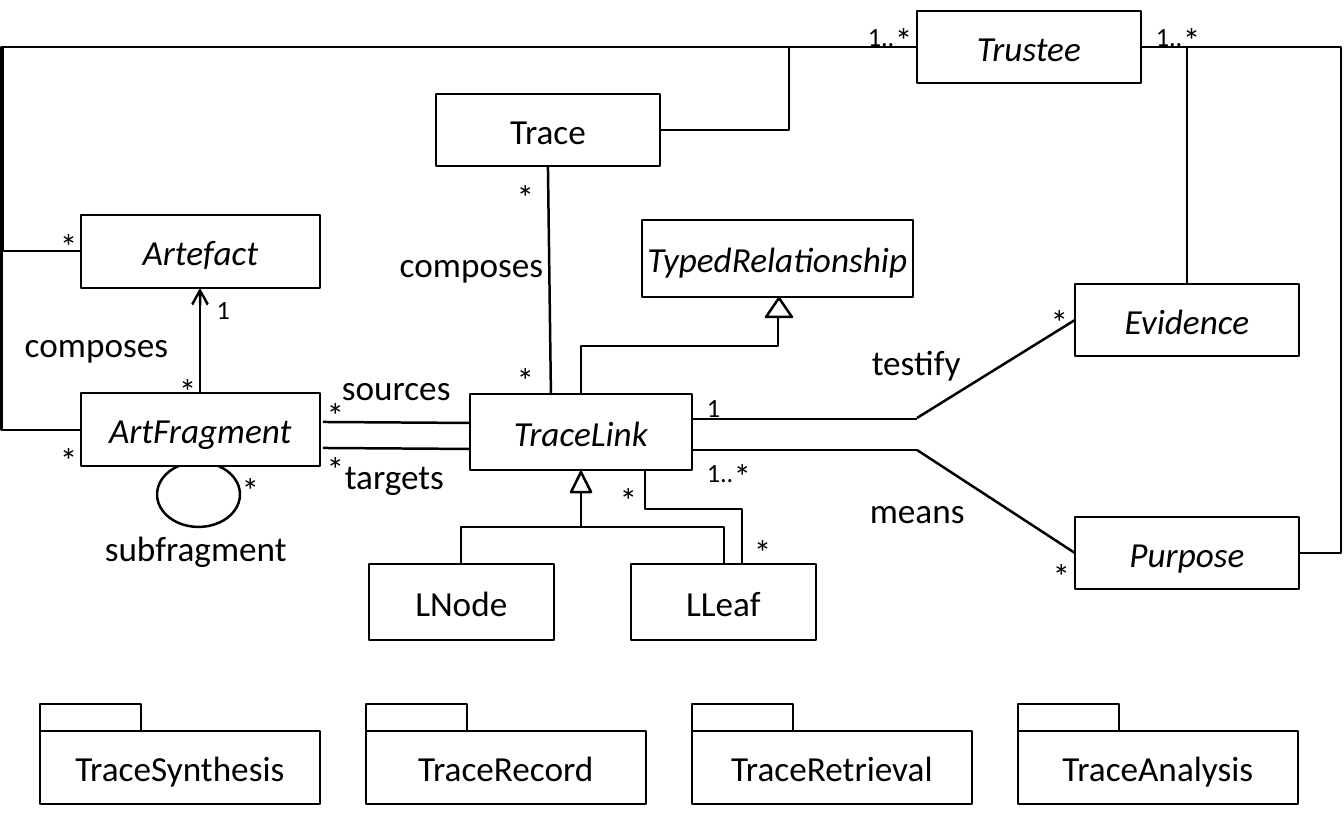
from lxml.etree import SubElement
from pptx import Presentation
from pptx.dml.color import RGBColor
from pptx.enum.shapes import MSO_CONNECTOR, MSO_SHAPE
from pptx.enum.text import MSO_ANCHOR, MSO_AUTO_SIZE, PP_ALIGN
from pptx.oxml.ns import qn
from pptx.util import Pt

SCALE = 5055  # EMU per px
SLIDE_SIZE = (1344, 823)
FONT = "Calibri"
COLORS = {"ink": "000000", "paper": "FFFFFF"}

# Classes: name, left, top, width, height, italic, border in points
CLASSES = [
    ("Artefact", 81, 215, 239, 73, True, 0.75),
    ("ArtFragment", 81, 393, 239, 73, True, 0.75),
    ("Trace", 436, 94, 224, 72, False, 0.75),
    ("Trustee", 917, 11, 224, 72, True, 0.75),
    ("Evidence", 1075, 284, 224, 72, True, 0.75),
    ("Purpose", 1075, 517, 224, 72, True, 0.75),
    ("TypedRelationship", 642, 220, 271, 77, True, 0.75),
    ("TraceLink", 470, 394, 222, 76, True, 1),
    ("LNode", 369, 564, 185, 76, False, 1),
    ("LLeaf", 631, 564, 185, 76, False, 1),
]
SELF_LOOP = (157, 462, 83, 65)
INHERITANCE_HEADS = [(766, 298, 26, 19), (571, 472, 20, 20)]

# Packages stand in one row at an equal pitch
PACKAGES = ["TraceSynthesis", "TraceRecord", "TraceRetrieval", "TraceAnalysis"]
PACKAGE_LEFT, PACKAGE_PITCH = 40, 326
TAB_TOP, TAB_WIDTH, TAB_HEIGHT = 704, 101, 27
BODY_WIDTH, BODY_HEIGHT = 280, 73

# Straight associations: begin, end
COMPOSITION_ARROW = ((200, 393), (200, 288))
ASSOCIATIONS = [
    ((323, 422), (470, 423)),
    ((323, 448), (470, 449)),
    ((548, 166), (551, 394)),
    ((692, 419), (917, 419)),
    ((917, 418), (1075, 320)),
    ((692, 450), (917, 450)),
    ((917, 450), (1075, 553)),
]

# Elbows that leave sideways: begin, end, x of the bend, width in points
TRUSTEE_LEFT, TRUSTEE_RIGHT = (917, 47), (1141, 47)
SIDE_ELBOWS = [
    (TRUSTEE_LEFT, (661, 130), 789, 1),
    (TRUSTEE_LEFT, (81, 251), 3, 0.5),
    (TRUSTEE_LEFT, (81, 430), 2, 1),
    (TRUSTEE_RIGHT, (1187, 284), 1187, 1),
    (TRUSTEE_RIGHT, (1299, 553), 1341, 1),
]

# Elbows that run downwards: begin, end, y of the bend
DOWN_ELBOWS = [
    ((778, 297), (581, 394), 346),
    ((581, 470), (461, 564), 527),
    ((581, 470), (724, 564), 527),
    ((645, 470), (742, 564), 509),
]

# Association names: text, left, top, width
NAMES = [
    ("composes", 7, 313, 188),
    ("composes", 382, 233, 188),
    ("testify", 854, 331, 132),
    ("means", 852, 479, 137),
    ("subfragment", 87, 517, 228),
    ("sources", 324, 356, 147),
    ("targets", 327, 445, 137),
]
# Multiplicities: text -> (width, height, size, left and top of each)
MULTIPLICITIES = {
    "*": (56, 62, 14, [
        (42, 215), (42, 429), (161, 360), (224, 459), (309, 384),
        (309, 438), (499, 166), (499, 349), (602, 469), (736, 521),
        (716, 445), (877, 9), (1165, 9), (1033, 291), (1035, 545)]),
    "1": (51, 51, 10.5, [(199, 284), (689, 382)]),
    "1..": (63, 51, 10.5, [(689, 447), (850, 11), (1138, 11)]),
}

presentation = Presentation()
presentation.slide_width, presentation.slide_height = (
    side * SCALE for side in SLIDE_SIZE)
slide = presentation.slides.add_slide(presentation.slide_layouts[6])


def emu(*lengths):
    return [round(length * SCALE) for length in lengths]


def color(name):
    return RGBColor.from_string(COLORS[name])


def write(shape, text, size=14, italic=False, align=PP_ALIGN.LEFT):
    paragraph = shape.text_frame.paragraphs[0]
    paragraph.alignment = align
    run = paragraph.add_run()
    run.text = text
    run.font.name, run.font.size, run.font.italic = FONT, Pt(size), italic
    run.font.color.rgb = color("ink")


def add_outline(kind, box, border=1):
    shape = slide.shapes.add_shape(kind, *emu(*box))
    shape.shadow.inherit = False
    shape.fill.solid()
    shape.fill.fore_color.rgb = color("paper")
    shape.line.color.rgb = color("ink")
    shape.line.width = Pt(border)
    return shape


def add_box(text, box, italic=False, border=1):
    shape = add_outline(MSO_SHAPE.RECTANGLE, box, border)
    frame = shape.text_frame
    frame.margin_left = frame.margin_right = 0
    frame.margin_top = frame.margin_bottom = 0
    frame.word_wrap = True
    frame.vertical_anchor = MSO_ANCHOR.MIDDLE
    write(shape, text, italic=italic, align=PP_ALIGN.CENTER)


def add_label(text, box, size=14):
    label = slide.shapes.add_textbox(*emu(*box))
    label.text_frame.word_wrap = False
    label.text_frame.auto_size = MSO_AUTO_SIZE.SHAPE_TO_FIT_TEXT
    write(label, text, size=size)


def add_line(begin, end, width=1, kind=MSO_CONNECTOR.STRAIGHT):
    line = slide.shapes.add_connector(kind, *emu(*begin, *end))
    line.line.color.rgb = color("ink")
    line.line.width = Pt(width)
    SubElement(line._element.spPr, qn("a:effectLst"))
    return line


def set_bend(line, fraction):
    geometry = line._element.spPr.find(qn("a:prstGeom"))
    if fraction == 1:
        geometry.set("prst", "bentConnector2")
        return
    values = geometry.find(qn("a:avLst"))
    SubElement(values, qn("a:gd"), name="adj1", fmla=f"val {round(fraction * 100000)}")


def add_side_elbow(begin, end, bend, width):
    line = add_line(begin, end, width, MSO_CONNECTOR.ELBOW)
    set_bend(line, (bend - begin[0]) / (end[0] - begin[0]))


def add_down_elbow(begin, end, bend):
    # A sideways elbow about the same centre, turned by a quarter
    across, down = end[0] - begin[0], end[1] - begin[1]
    center_x, center_y = (begin[0] + end[0]) / 2, (begin[1] + end[1]) / 2
    direction = -1 if across > 0 else 1
    half_x, half_y = direction * down / 2, abs(across) / 2
    line = add_line((center_x - half_x, center_y - half_y),
                    (center_x + half_x, center_y + half_y), kind=MSO_CONNECTOR.ELBOW)
    turn = 270 if across > 0 else 90
    line._element.spPr.find(qn("a:xfrm")).set("rot", str(turn * 60000))
    set_bend(line, (bend - begin[1]) / down)


# Associations, behind the classes
add_outline(MSO_SHAPE.OVAL, SELF_LOOP)
arrow = add_line(*COMPOSITION_ARROW)
SubElement(arrow.line._get_or_add_ln(), qn("a:tailEnd"), type="arrow")
for begin, end in ASSOCIATIONS:
    add_line(begin, end)
for elbow in SIDE_ELBOWS:
    add_side_elbow(*elbow)
for elbow in DOWN_ELBOWS:
    add_down_elbow(*elbow)

# Classes and inheritance heads
for name, left, top, width, height, italic, border in CLASSES:
    add_box(name, (left, top, width, height), italic=italic, border=border)
for head in INHERITANCE_HEADS:
    add_outline(MSO_SHAPE.ISOSCELES_TRIANGLE, head)

# Packages
for index, name in enumerate(PACKAGES):
    left = PACKAGE_LEFT + index * PACKAGE_PITCH
    add_box(name, (left, TAB_TOP + TAB_HEIGHT, BODY_WIDTH, BODY_HEIGHT))
    add_outline(MSO_SHAPE.RECTANGLE, (left, TAB_TOP, TAB_WIDTH, TAB_HEIGHT))

# Labels
for text, left, top, width in NAMES:
    add_label(text, (left, top, width, 62))
for text, (width, height, size, places) in MULTIPLICITIES.items():
    for left, top in places:
        add_label(text, (left, top, width, height), size=size)

presentation.save("out.pptx")
